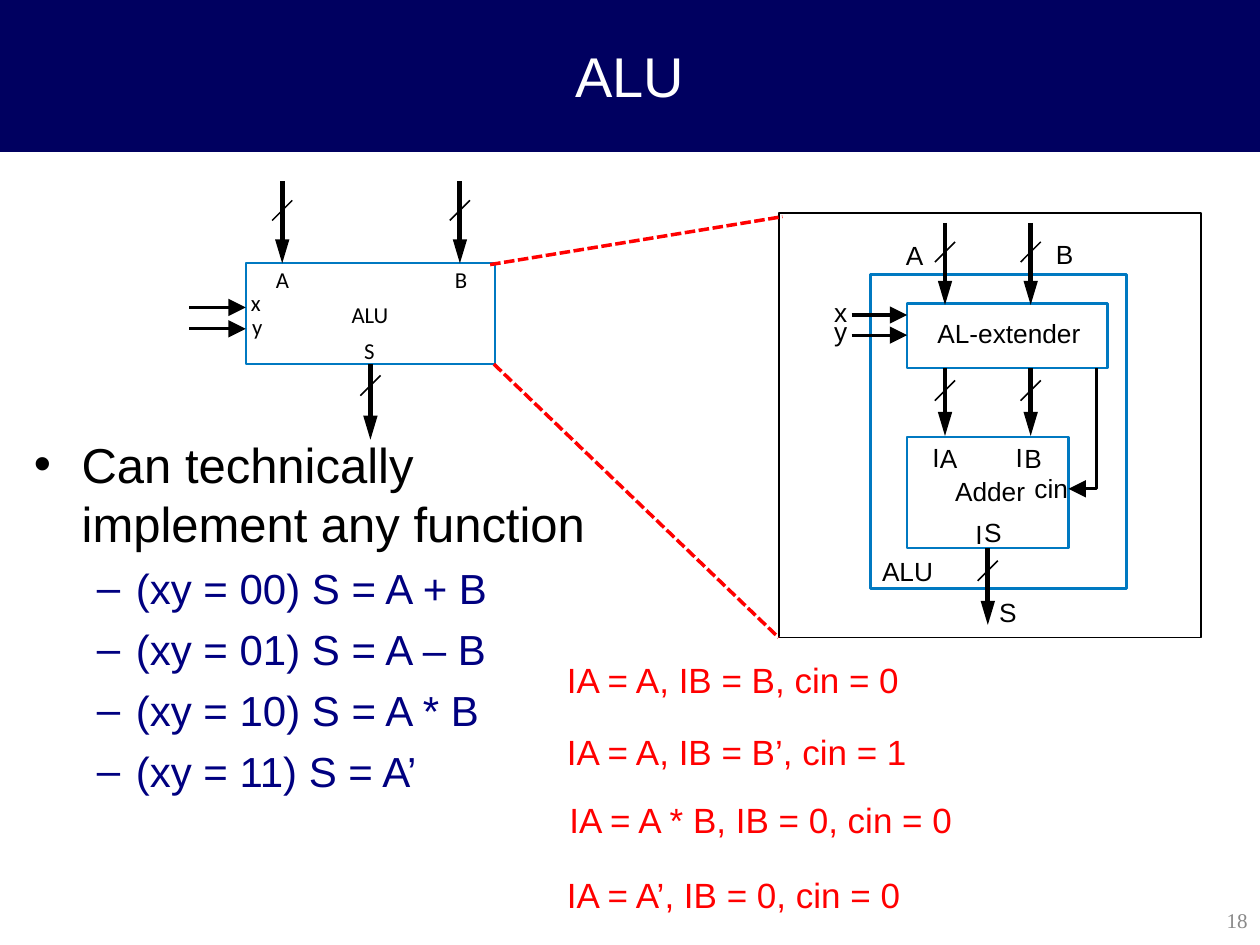
from lxml import etree
from pptx import Presentation
from pptx.dml.color import RGBColor
from pptx.enum.dml import MSO_LINE
from pptx.enum.shapes import MSO_CONNECTOR, MSO_SHAPE
from pptx.enum.text import MSO_ANCHOR, PP_ALIGN
from pptx.oxml.ns import qn
from pptx.util import Inches, Pt

STRAIGHT = MSO_CONNECTOR.STRAIGHT
RECTANGLE = MSO_SHAPE.RECTANGLE
SHORT_DASH = MSO_LINE.SQUARE_DOT
MIDDLE = MSO_ANCHOR.MIDDLE
CENTER = PP_ALIGN.CENTER
RIGHT = PP_ALIGN.RIGHT
BOTTOM_SIDE = 2

COLORS = {
    "banner": "000060",
    "white": "FFFFFF",
    "black": "000000",
    "block": "0079C1",
    "navy": "000080",
    "red": "FF0000",
    "gray": "898989",
}

BLOCK_LABELS = [
    ("ALU", 2.79, 2.39), ("S", 2.89, 2.67), ("x", 1.99, 2.29),
    ("y", 2.0, 2.48), ("A", 2.19, 2.11), ("B", 3.61, 2.11),
]
DETAIL_LABELS = [
    ("ALU", 7.0, 4.41), ("I", 7.4, 3.5), ("A", 7.46, 3.51),
    ("I", 8.06, 3.5), ("B", 8.13, 3.51), ("I", 7.74, 4.11),
    ("S", 7.81, 4.1), ("Adder", 7.58, 3.77), ("cin", 8.21, 3.75),
    ("S", 7.93, 4.73), ("x", 6.62, 2.35), ("y", 6.62, 2.5),
    ("AL-extender", 7.44, 2.52), ("A", 7.19, 1.9), ("B", 8.38, 1.89),
]
OPERATIONS = [
    "(xy = 00) S = A + B",
    "(xy = 01) S = A – B",
    "(xy = 10) S = A * B",
    "(xy = 11) S = A’",
]
SETTINGS = [
    ("IA = A, IB = B, cin = 0", 4.4, 5.18),
    ("IA = A, IB = B’, cin = 1", 4.4, 5.75),
    ("IA = A * B, IB = 0, cin = 0", 4.42, 6.29),
    ("IA = A’, IB = 0, cin = 0", 4.4, 6.88),
]


def rgb(name):
    """Return the named colour."""
    return RGBColor.from_string(COLORS[name])


def style_text(paragraph, size, color, font="Arial"):
    """Format every run of a paragraph."""
    for run in paragraph.runs:
        run.font.size = Pt(size)
        run.font.name = font
        run.font.color.rgb = rgb(color)


def add_text(slide, text, box, size, color, font="Arial"):
    """Add a wrapped one-paragraph text box and return its frame."""
    frame = slide.shapes.add_textbox(*map(Inches, box)).text_frame
    frame.word_wrap = True
    frame.text = text
    style_text(frame.paragraphs[0], size, color, font)
    return frame


def add_label(slide, text, left, top, size, font):
    """Add a signal or block label wide enough for one line."""
    width = 0.15 * len(text)
    frame = add_text(slide, text, (left, top, width, 0.25), size, "black", font)
    frame.margin_left = frame.margin_right = 0
    frame.margin_top = frame.margin_bottom = 0


def add_block(slide, box, color="block", width=1.39):
    """Add an unfilled outlined rectangle."""
    block = slide.shapes.add_shape(RECTANGLE, *map(Inches, box))
    block.shadow.inherit = False
    block.fill.background()
    block.line.color.rgb = rgb(color)
    block.line.width = Pt(width)
    return block


def add_line(slide, start, end, width, color="black"):
    """Add a straight line without a shadow."""
    line = slide.shapes.add_connector(STRAIGHT, *map(Inches, start + end))
    line.line.color.rgb = rgb(color)
    line.line.width = Pt(width)
    etree.SubElement(line._element.spPr, qn("a:effectLst"))
    return line


def point_arrow(line, head_width="lg"):
    """Put a long arrowhead at the end of a line."""
    outline = line.line._get_or_add_ln()
    etree.SubElement(outline, qn("a:tailEnd"), type="triangle", w=head_width, len="lg")


def add_bus(slide, x, top, bottom, slash_y, source=None):
    """Add a thick downward arrow crossed by a bus slash."""
    bus = add_line(slide, (x, top), (x, bottom), 2.75)
    point_arrow(bus, "med")
    if source:
        bus.begin_connect(source, BOTTOM_SIDE)
    reach = 0.08
    add_line(slide, (x + reach, slash_y - reach), (x - reach, slash_y + reach), 0.88)


def add_control(slide, left, right, y):
    """Add a thin arrow for a control input."""
    point_arrow(add_line(slide, (left, y), (right, y), 1.87))


def add_carry(slide):
    """Add the bent carry arrow from the extender to the adder."""
    builder = slide.shapes.build_freeform(Inches(8.7), Inches(2.92), scale=1.0)
    corners = [(8.7, 3.88), (8.48, 3.88)]
    builder.add_line_segments([(Inches(x), Inches(y)) for x, y in corners], close=False)
    carry = builder.convert_to_shape()
    carry.shadow.inherit = False
    carry.fill.background()
    carry.line.color.rgb = rgb("black")
    carry.line.width = Pt(1.87)
    point_arrow(carry)


def add_title(slide):
    """Fill the title banner."""
    title = slide.shapes.title
    title.left, title.top, title.width, title.height = map(Inches, (0, 0, 10, 1.2))
    title.fill.solid()
    title.fill.fore_color.rgb = rgb("banner")
    title.line.color.rgb = rgb("banner")
    title.line.width = Pt(0.75)
    title.text_frame.text = "ALU"
    title.text_frame.vertical_anchor = MIDDLE
    title.text_frame.paragraphs[0].alignment = CENTER
    style_text(title.text_frame.paragraphs[0], 32, "white")


def set_bullet(paragraph, mark, margin, hang):
    """Give a paragraph a hanging bullet."""
    properties = paragraph._p.get_or_add_pPr()
    properties.set("marL", str(Inches(margin)))
    properties.set("indent", str(-Inches(hang)))
    etree.SubElement(properties, qn("a:buFont"), typeface="Arial")
    etree.SubElement(properties, qn("a:buChar"), char=mark)


def add_functions(slide):
    """Add the bulleted list of operations."""
    box = (0.17, 3.4, 5, 3.2)
    frame = add_text(slide, "Can technically \vimplement any function", box, 28, "black")
    set_bullet(frame.paragraphs[0], "•", 0.38, 0.38)
    for operation in OPERATIONS:
        paragraph = frame.add_paragraph()
        paragraph.text = operation
        paragraph.level = 1
        set_bullet(paragraph, "–", 0.81, 0.31)
        paragraph.space_before = Pt(6)
        style_text(paragraph, 24, "navy")


def add_alu_symbol(slide):
    """Draw the ALU as a single block."""
    alu = add_block(slide, (1.95, 2.09, 1.98, 0.8), width=1.13)
    for label in BLOCK_LABELS:
        add_label(slide, *label, 13, "Calibri")
    for x in (2.24, 3.65):
        add_bus(slide, x, 1.44, 2.09, 1.67)
    for y in (2.44, 2.61):
        add_control(slide, 1.5, 1.95, y)
    add_bus(slide, 2.94, 2.89, 3.49, 3.06, alu)


def add_alu_detail(slide):
    """Draw the inside of the ALU and the zoom lines leading to it."""
    add_block(slide, (6.18, 1.69, 3.35, 3.37), "black", 1)
    add_block(slide, (6.91, 2.18, 2.03, 2.49))
    add_block(slide, (7.2, 2.41, 1.59, 0.51))
    adder = add_block(slide, (7.2, 3.47, 1.28, 0.88))
    add_carry(slide)
    for x in (7.5, 8.18):
        add_bus(slide, x, 1.77, 2.42, 2.0)
        add_bus(slide, x, 2.92, 3.46, 3.1)
    add_bus(slide, 7.84, 4.35, 4.96, 4.53, adder)
    for y in (2.5, 2.66):
        add_control(slide, 6.76, 7.2, y)
    for label in DETAIL_LABELS:
        add_label(slide, *label, 15, "Arial")
    for start, end in [((3.89, 2.1), (6.21, 1.72)), ((3.92, 2.89), (6.18, 5.06))]:
        add_line(slide, start, end, 2, "red").line.dash_style = SHORT_DASH


def main():
    """Build and save the slide."""
    deck = Presentation()
    deck.slide_width, deck.slide_height = Inches(10), Inches(7.5)
    slide = deck.slides.add_slide(deck.slide_layouts[5])
    add_title(slide)
    add_functions(slide)
    add_alu_symbol(slide)
    add_alu_detail(slide)
    for text, left, top in SETTINGS:
        add_text(slide, text, (left, top, 3.31, 0.44), 20, "red")
    number_box = (7.88, 7.1, 2.12, 0.4)
    number = add_text(slide, "18", number_box, 12, "gray", "Times New Roman")
    number.vertical_anchor = MIDDLE
    number.paragraphs[0].alignment = RIGHT
    deck.save("out.pptx")


if __name__ == "__main__":
    main()
